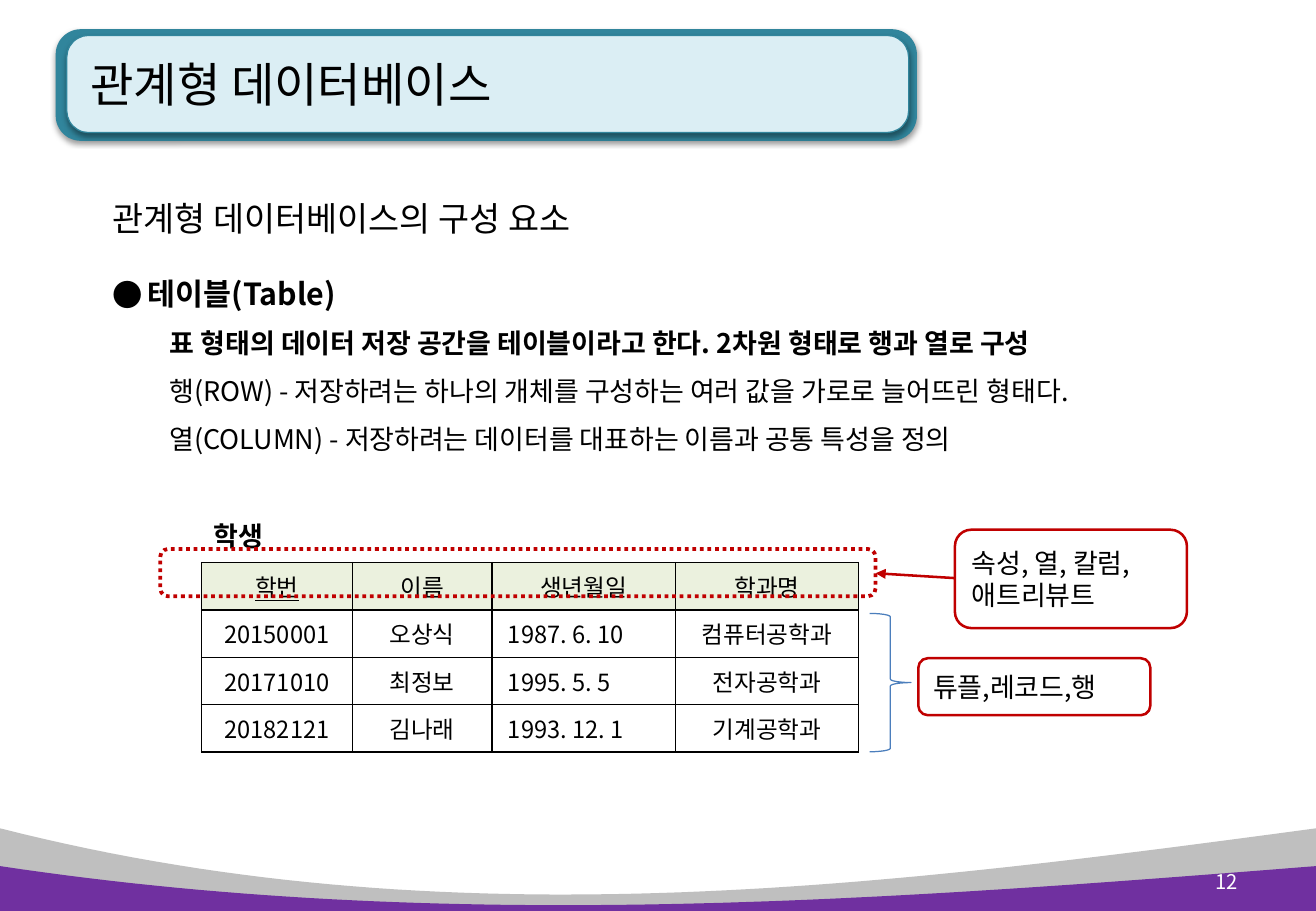
import pptx
import pptx.dml.color
import pptx.enum.dml
import pptx.enum.shapes
import pptx.enum.text
import pptx.oxml.ns
import pptx.util
from lxml import etree

Pt = pptx.util.Pt
qn = pptx.oxml.ns.qn
SHAPE = pptx.enum.shapes.MSO_SHAPE
ALIGN = pptx.enum.text.PP_ALIGN
MIDDLE = pptx.enum.text.MSO_ANCHOR.MIDDLE
FONT = "Noto Sans CJK KR"
COLORS = {
    "text": "000000", "white": "FFFFFF", "gray": "BFBFBF", "purple": "7030A0",
    "teal": "31859C", "pale": "DBEEF4", "header": "EBF1DE",
    "red": "C00000", "blue": "4B7EBC",
}
STUDENTS = [
    ["학번", "이름", "생년월일", "학과명"],
    ["20150001", "오상식", "1987. 6. 10", "컴퓨터공학과"],
    ["20171010", "최정보", "1995. 5. 5", "전자공학과"],
    ["20182121", "김나래", "1993. 12. 1", "기계공학과"],
]
COLUMN_WIDTHS = [89.3, 82.8, 108.7, 108.7]
ROW_HEIGHT = 28.1
BODY = [
    ("관계형 데이터베이스의 구성 요소", 20, False, 49, 20),
    ("테이블(Table)", 18, True, 43.5, 41),
    ("표 형태의 데이터 저장 공간을 테이블이라고 한다. 2차원 형태로 행과 열로 구성", 16, True, 28, 54),
    ("행(ROW) - 저장하려는 하나의 개체를 구성하는 여러 값을 가로로 늘어뜨린 형태다.", 16, False, 28.6, 54),
    ("열(COLUMN) - 저장하려는 데이터를 대표하는 이름과 공통 특성을 정의", 16, False, 28.6, 54),
]


def rgb(name):
    """Return the named colour."""
    return pptx.dml.color.RGBColor.from_string(COLORS[name])


def add_child(parent, tag, **attributes):
    """Append an XML element with the given attributes."""
    return etree.SubElement(parent, qn(tag), {key: str(value) for key, value in attributes.items()})


def format_paragraph(paragraph, size, bold=False, color="text", align=ALIGN.LEFT):
    """Apply alignment and font to a paragraph and its runs."""
    paragraph.alignment = align
    for run in paragraph.runs:
        run.font.size = Pt(size)
        run.font.bold = bold
        run.font.name = FONT
        run.font.color.rgb = rgb(color)
        add_child(run.font._element, "a:ea", typeface=FONT)


def add_text(slide, box, text, size, **style):
    """Add a text box holding one vertically centred line."""
    text_frame = slide.shapes.add_textbox(*map(Pt, box)).text_frame
    text_frame.word_wrap = True
    text_frame.vertical_anchor = MIDDLE
    text_frame.text = text
    format_paragraph(text_frame.paragraphs[0], size, **style)


def paint(shape, fill=None, line=None, width=0.75):
    """Set fill and line of a shape and remove its shadow."""
    shape.shadow.inherit = False
    if fill:
        shape.fill.solid()
        shape.fill.fore_color.rgb = rgb(fill)
    else:
        shape.fill.background()
    if line:
        shape.line.color.rgb = rgb(line)
        shape.line.width = Pt(width)
    else:
        shape.line.fill.background()


def add_preset(slide, preset, box, **style):
    """Add a painted preset shape."""
    shape = slide.shapes.add_shape(preset, *map(Pt, box))
    paint(shape, **style)
    return shape


def add_wave(slide, heights, color):
    """Fill the area from a cubic curve down to the slide's bottom edge."""
    steps = 60
    points = []
    for step in range(steps + 1):
        t = step / steps
        weights = ((1 - t) ** 3, 3 * t * (1 - t) ** 2, 3 * t * t * (1 - t), t ** 3)
        points.append(tuple(
            Pt(sum(weight * value for weight, value in zip(weights, values)))
            for values in ((0, 263, 518, 780), heights)
        ))
    builder = slide.shapes.build_freeform(*points[0])
    builder.add_line_segments(points[1:] + [(Pt(780), Pt(540)), (0, Pt(540))], close=True)
    paint(builder.convert_to_shape(), fill=color)


def add_banner_panel(slide, box, **style):
    """Add a rounded title panel with a soft shadow below it."""
    shape = add_preset(slide, SHAPE.ROUNDED_RECTANGLE, box, **style)
    shape.adjustments[0] = 0.225
    effects = shape._element.spPr.find(qn("a:effectLst"))
    shadow = add_child(effects, "a:outerShdw", blurRad=Pt(3.1), dist=Pt(1.6), dir=5400000, rotWithShape=0)
    color = add_child(shadow, "a:srgbClr", val=COLORS["text"])
    add_child(color, "a:alpha", val=38000)


def add_body(slide):
    """Add the heading, the bullet and its explanations."""
    text_frame = slide.shapes.add_textbox(Pt(39.6), Pt(88.6), Pt(731), Pt(190)).text_frame
    text_frame.word_wrap = True
    text_frame.text = "\n".join(row[0] for row in BODY)
    for paragraph, (_, size, bold, spacing, margin) in zip(text_frame.paragraphs, BODY):
        format_paragraph(paragraph, size, bold)
        paragraph.line_spacing = Pt(spacing)
        paragraph._p.get_or_add_pPr().set("marL", str(Pt(margin)))
    properties = text_frame.paragraphs[1]._p.get_or_add_pPr()
    properties.set("indent", str(Pt(-21)))
    add_child(properties, "a:buFont", typeface=FONT)
    add_child(properties, "a:buChar", char="●")


def add_borders(cell):
    """Draw a thin line on every side of a table cell."""
    for side in ("a:lnL", "a:lnR", "a:lnT", "a:lnB"):
        line = add_child(cell._tc.get_or_add_tcPr(), side, w=Pt(1))
        fill = add_child(line, "a:solidFill")
        add_child(fill, "a:srgbClr", val=COLORS["text"])


def add_student_table(slide):
    """Add the student table with a tinted header row."""
    frame = slide.shapes.add_table(
        len(STUDENTS), len(COLUMN_WIDTHS), Pt(119.5), Pt(333.4),
        Pt(sum(COLUMN_WIDTHS)), Pt(ROW_HEIGHT * len(STUDENTS)))
    table = frame.table
    table.first_row = table.horz_banding = False
    for column, width in zip(table.columns, COLUMN_WIDTHS):
        column.width = Pt(width)
    for row_index, values in enumerate(STUDENTS):
        table.rows[row_index].height = Pt(ROW_HEIGHT)
        for column_index, value in enumerate(values):
            cell = table.cell(row_index, column_index)
            is_date = row_index > 0 and column_index == 2
            cell.text_frame.text = value
            cell.vertical_anchor = MIDDLE
            cell.margin_left = Pt(9.5 if is_date else 6.5)
            cell.margin_right = Pt(6.5)
            cell.margin_top = cell.margin_bottom = Pt(2.9)
            format_paragraph(cell.text_frame.paragraphs[0], 14, align=ALIGN.LEFT if is_date else ALIGN.CENTER)
            add_borders(cell)
            if row_index == 0:
                cell.fill.solid()
                cell.fill.fore_color.rgb = rgb("header")
            else:
                cell.fill.background()
    table.cell(0, 0).text_frame.paragraphs[0].runs[0].font.underline = True


def add_callout(slide, box, text):
    """Add a red rounded outline with explanatory text."""
    shape = add_preset(slide, SHAPE.ROUNDED_RECTANGLE, box, line="red", width=1.5)
    text_frame = shape.text_frame
    text_frame.word_wrap = True
    text_frame.vertical_anchor = MIDDLE
    text_frame.text = text
    for paragraph in text_frame.paragraphs:
        format_paragraph(paragraph, 16)
        paragraph.line_spacing = Pt(19)


def add_arrow(slide, start, end):
    """Add a red arrow between two points."""
    arrow = slide.shapes.add_connector(
        pptx.enum.shapes.MSO_CONNECTOR.STRAIGHT, *map(Pt, start + end))
    arrow.line.color.rgb = rgb("red")
    arrow.line.width = Pt(1.5)
    add_child(arrow.line._get_or_add_ln(), "a:tailEnd", type="triangle")
    add_child(arrow._element.spPr, "a:effectLst")


def main():
    """Build the relational database slide and save it."""
    presentation = pptx.Presentation()
    presentation.slide_width, presentation.slide_height = Pt(780), Pt(540)
    slide = presentation.slides.add_slide(presentation.slide_layouts[6])
    add_wave(slide, (491, 558, 526.3, 491), "gray")
    add_banner_panel(slide, (33, 17.3, 510.5, 66.2), fill="teal")
    add_banner_panel(slide, (39.6, 21, 499, 57.6), fill="pale", line="teal")
    add_wave(slide, (513.4, 553, 534.2, 513.4), "purple")
    add_text(slide, (46.5, 16, 326, 67.5), "관계형 데이터베이스", 28)
    add_text(slide, (697, 508.3, 44, 28.8), "12", 12, color="white", align=ALIGN.RIGHT)
    add_body(slide)
    add_student_table(slide)
    add_text(slide, (119.5, 304, 58.3, 26.6), "학생", 16, bold=True)
    add_callout(slide, (566, 314, 137.5, 58.3), "속성, 열, 칼럼,\n애트리뷰트")
    add_arrow(slide, (566, 342.7), (519, 339.8))
    header_outline = add_preset(
        slide, SHAPE.ROUNDED_RECTANGLE, (95, 325.4, 424, 28.1), line="red", width=2.25)
    header_outline.line.dash_style = pptx.enum.dml.MSO_LINE.ROUND_DOT
    add_preset(slide, SHAPE.RIGHT_BRACE, (515.5, 363.6, 24.5, 82), line="blue")
    add_callout(slide, (544.3, 390.2, 137.5, 33.8), "튜플,레코드,행")
    presentation.save("out.pptx")


main()
